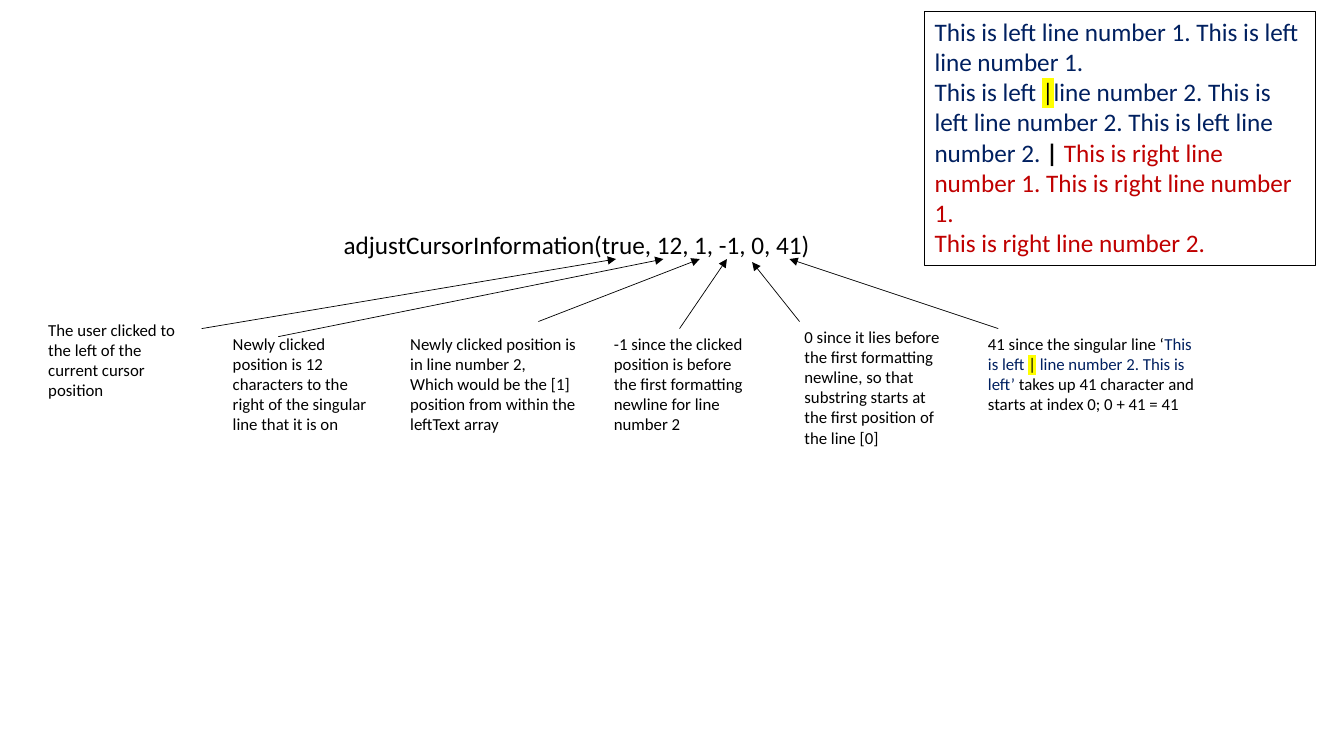
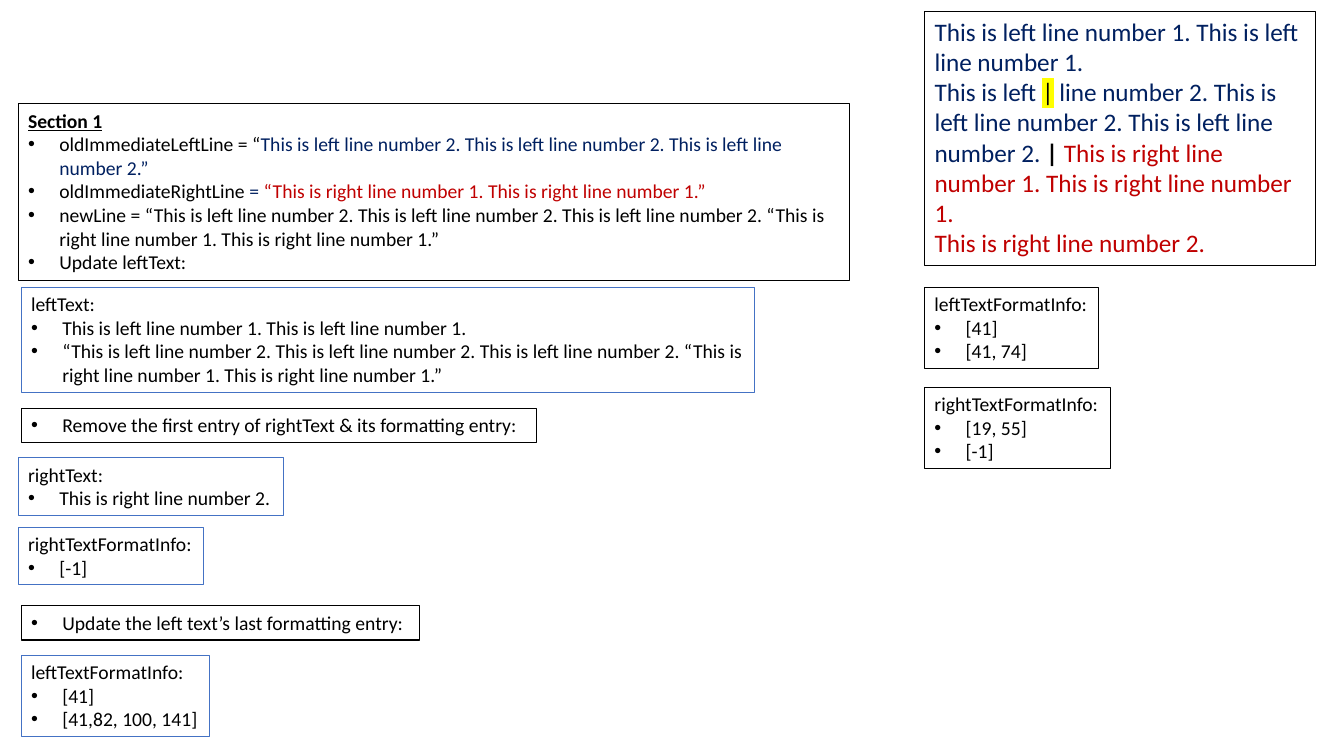
from lxml import etree
from pptx import Presentation, util as u
from pptx.dml.color import RGBColor
from pptx.enum import shapes, text
from pptx.oxml.ns import qn

THEME = {
    "font": "Calibri",
    "ink": "000000", "left": "002060", "right": "C00000",
    "accent": "4472C4", "marker": "FFFF00",
    "large": 18, "body": 14, "note": 12,
    "border": 0.75, "arrow": 0.5,
}
# Each role names a colour and the run formats that go with it.
ROLES = {
    "plain": ("ink", {}),
    "left": ("left", {}),
    "right": ("right", {}),
    "cursor": ("ink", {"bold": True}),
    "heading": ("ink", {"bold": True, "underline": True}),
    "clicked": ("ink", {}),
}
GRID = u.Inches(1)
MARGIN, INSET, SIDE = 0.18, 0.21, 9.17
SIDE_TOP = 2.85
BULLET_INDENT = 0.31

deck = Presentation()
deck.slide_width, deck.slide_height = int(13.33 * GRID), int(7.5 * GRID)
blank = deck.slide_layouts[6]


def cells(*lengths):
    """Turn grid units into slide lengths."""
    return [int(length * GRID) for length in lengths]


def add_panel(slide, place, paragraphs, size, border=None, wrap=True, lead=None):
    """Add a text panel; paragraphs after the first `lead` ones are bulleted."""
    panel = slide.shapes.add_textbox(*cells(*place))
    if border:
        panel.line.color.rgb = RGBColor.from_string(THEME[border])
        panel.line.width = u.Pt(THEME["border"])
    frame = panel.text_frame
    frame.word_wrap = wrap
    frame.auto_size = text.MSO_AUTO_SIZE.SHAPE_TO_FIT_TEXT
    for index, content in enumerate(paragraphs):
        paragraph = frame.paragraphs[0] if index == 0 else frame.add_paragraph()
        if lead is not None and index >= lead:
            props = paragraph._p.get_or_add_pPr()
            indent, = cells(BULLET_INDENT)
            props.set("marL", str(indent))
            props.set("indent", str(-indent))
            etree.SubElement(props, qn("a:buFont")).set("typeface", "Arial")
            etree.SubElement(props, qn("a:buChar")).set("char", "•")
        runs = [(content, "plain")] if isinstance(content, str) else content
        for words, role in runs:
            run = paragraph.add_run()
            run.text = words
            colour, formats = ROLES[role]
            formats = {"name": THEME["font"], "size": u.Pt(THEME[size]), **formats}
            for key, value in formats.items():
                setattr(run.font, key, value)
            run.font.color.rgb = RGBColor.from_string(THEME[colour])
            if role == "clicked":
                highlight = etree.Element(qn("a:highlight"))
                etree.SubElement(highlight, qn("a:srgbClr")).set("val", THEME["marker"])
                run._r.rPr.find(qn("a:solidFill")).addnext(highlight)


LEFT_1 = "This is left line number 1. This is left line number 1."
LEFT_2 = " ".join(["This is left line number 2."] * 3)
RIGHT_1 = "This is right line number 1. This is right line number 1."
RIGHT_2 = "This is right line number 2."
JOINED = f"“{LEFT_2} “{RIGHT_1}”"

# Both slides show the edited text, with a different gap after the clicked spot.
call_slide, section_slide = [deck.slides.add_slide(blank) for _ in range(2)]
for slide, gap in ((call_slide, ""), (section_slide, " ")):
    add_panel(slide, (SIDE, 0.11, 3.88, 2.52), [
        [(LEFT_1, "left")],
        [("This is left ", "left"), ("|", "clicked"),
         (gap + LEFT_2.removeprefix("This is left ") + " ", "left"),
         ("| ", "cursor"), (RIGHT_1 + " ", "right")],
        [(RIGHT_2, "right")],
    ], "large", "ink")

# Slide 1: the call and a note for each argument
add_panel(call_slide, (3.31, 2.23, 4.88, 0.4),
          ["adjustCursorInformation(true, 12, 1, -1, 0, 41)"], "large", wrap=False)

NOTE_TOP, ARGUMENT_BASE = 3.26, 2.57
argument_notes = [
    ((0.38, 3.12, 1.62, 0.91), (2, NOTE_TOP), (6.11, ARGUMENT_BASE),
     ["The user clicked to the left of the current cursor position"]),
    ((2.21, NOTE_TOP, 1.62, 1.11), (2.76, 3.34), (6.58, ARGUMENT_BASE),
     ["Newly clicked position is 12 characters to the right of the singular "
      "line that it is on"]),
    ((3.97, NOTE_TOP, 1.94, 1.11), (5.34, 3.19), (6.94, ARGUMENT_BASE),
     ["Newly clicked position is in line number 2, ",
      "Which would be the [1] position from within the leftText array"]),
    ((5.99, NOTE_TOP, 1.49, 1.11), (6.74, NOTE_TOP), (7.21, ARGUMENT_BASE),
     ["-1 since the clicked position is before the first formatting newline "
      "for line number 2"]),
    ((7.88, 3.19, 1.61, 1.31), (7.93, 3.19), (7.46, 2.6),
     ["0 since it lies before the first formatting newline, so that substring "
      "starts at the first position of the line [0]"]),
    ((9.7, NOTE_TOP, 2.35, 0.91), (9.9, NOTE_TOP), (7.83, ARGUMENT_BASE),
     [[("41 since the singular line ‘", "plain"), ("This is left ", "left"),
       ("|", "clicked"), (" line number 2. This is left’ ", "left"),
       ("takes up 41 character and starts at index 0; 0 + 41 = 41 ", "plain")]]),
]
for place, start, end, note in argument_notes:
    add_panel(call_slide, place, note, "note")
    arrow = call_slide.shapes.add_connector(
        shapes.MSO_CONNECTOR.STRAIGHT, *cells(*start, *end))
    arrow.line.color.rgb = RGBColor.from_string(THEME["ink"])
    arrow.line.width = u.Pt(THEME["arrow"])
    etree.SubElement(arrow.line._get_or_add_ln(), qn("a:tailEnd")).set("type", "triangle")
    etree.SubElement(arrow._element.spPr, qn("a:effectLst"))

# Slide 2: the steps of section 1 and the state of each list
add_panel(section_slide, (MARGIN, 1.03, 8.25, 1.75), [
    [("Section 1", "heading")],
    [("oldImmediateLeftLine = “", "plain"), (LEFT_2 + "”", "left")],
    [("oldImmediateRightLine", "plain"), (" = ", "left"), (f"“{RIGHT_1}”", "right")],
    "newLine = " + JOINED,
    "Update leftText:",
], "body", "ink", lead=1)
add_panel(section_slide, (INSET, SIDE_TOP, 7.27, 1.04),
          ["leftText:", LEFT_1, JOINED], "body", "accent", lead=1)

list_states = [
    ((SIDE, SIDE_TOP, 1.73, 0.81), "ink", ["leftTextFormatInfo:", "[41]", "[41, 74]"]),
    ((SIDE, 3.84, 1.84, 0.81), "ink", ["rightTextFormatInfo:", "[19, 55]", "[-1]"]),
    ((MARGIN, 4.54, 2.63, 0.57), "accent", ["rightText:", RIGHT_2]),
    ((MARGIN, 5.23, 1.84, 0.57), "accent", ["rightTextFormatInfo:", "[-1]"]),
    ((INSET, 6.5, 1.87, 0.81), "accent",
     ["leftTextFormatInfo:", "[41]", "[41,82, 100, 141]"]),
]
for place, border, entries in list_states:
    add_panel(section_slide, place, entries, "body", border, wrap=False, lead=1)

steps = [
    (4.05, 5.11, "Remove the first entry of rightText & its formatting entry:"),
    (6.01, 3.95, "Update the left text’s last formatting entry:"),
]
for top, width, step in steps:
    add_panel(section_slide, (INSET, top, width, 0.34), [step], "body", "ink",
              wrap=False, lead=0)

deck.save("out.pptx")
